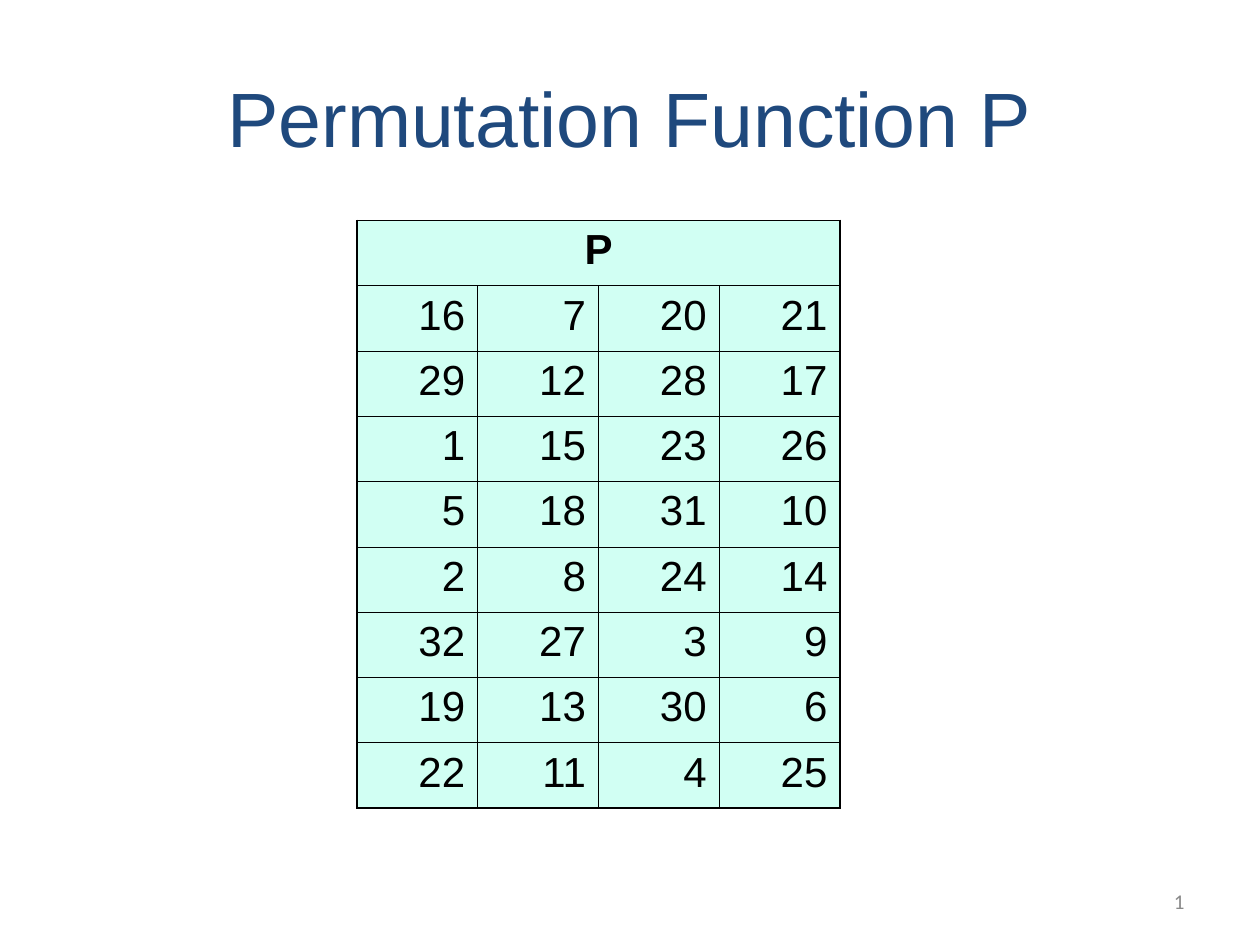
from dataclasses import dataclass

from lxml import etree
from pptx import Presentation
from pptx.dml.color import RGBColor
from pptx.enum.text import MSO_ANCHOR, PP_ALIGN
from pptx.oxml.ns import qn
from pptx.util import Pt

CENTER, RIGHT = PP_ALIGN.CENTER, PP_ALIGN.RIGHT
MIDDLE = MSO_ANCHOR.MIDDLE
NAVY = RGBColor(0x1F, 0x49, 0x7D)
GRAY = RGBColor(0x89, 0x89, 0x89)
BLACK = RGBColor(0, 0, 0)
MINT = RGBColor(0xD1, 0xFF, 0xF3)

TITLE_ONLY = 5
OUTER, INNER = Pt(1.08), Pt(0.45)
COL_W, ROW_H = 69, 37.33
PERMUTATION = [
    (16, 7, 20, 21),
    (29, 12, 28, 17),
    (1, 15, 23, 26),
    (5, 18, 31, 10),
    (2, 8, 24, 14),
    (32, 27, 3, 9),
    (19, 13, 30, 6),
    (22, 11, 4, 25),
]


@dataclass(frozen=True)
class TextStyle:
    size: float
    color: RGBColor
    align: PP_ALIGN
    name: str = "Arial"
    bold: bool = False


TITLE = TextStyle(44, NAVY, CENTER)
HEADER = TextStyle(24, BLACK, CENTER, bold=True)
NUMBER = TextStyle(24, BLACK, RIGHT)
PAGE = TextStyle(12, GRAY, RIGHT, "Calibri")


def write(tf, text: str, style: TextStyle) -> None:
    p = tf.paragraphs[0]
    p.alignment = style.align
    r = p.add_run()
    r.text = text
    for key, value in {"name": style.name, "size": Pt(style.size), "bold": style.bold}.items():
        setattr(r.font, key, value)
    r.font.color.rgb = style.color


def place(sp, left: float, top: float, width: float, height: float) -> None:
    box = {"left": left, "top": top, "width": width, "height": height}
    for key, value in box.items():
        setattr(sp, key, Pt(value))


def set_borders(cell, widths: dict[str, int]) -> None:
    """Border elements must come before the fill, in the order L, R, T, B."""
    tc_pr = cell._tc.get_or_add_tcPr()
    for i, (side, width) in enumerate(widths.items()):
        ln = etree.Element(qn(f"a:ln{side}"), w=str(width))
        fill = etree.SubElement(ln, qn("a:solidFill"))
        etree.SubElement(fill, qn("a:srgbClr"), val=str(BLACK))
        tc_pr.insert(i, ln)


def fill_cell(cell, text: str, style: TextStyle, widths: dict[str, int]) -> None:
    cell.fill.solid()
    cell.fill.fore_color.rgb = MINT
    set_borders(cell, widths)
    write(cell.text_frame, text, style)


def add_permutation_table(s, left: float, top: float) -> None:
    n_rows, n_cols = len(PERMUTATION) + 1, len(PERMUTATION[0])
    table = s.shapes.add_table(n_rows, n_cols, Pt(left), Pt(top),
                               Pt(COL_W * n_cols), Pt(ROW_H * n_rows)).table
    table.first_row = table.horz_banding = False
    for col in table.columns:
        col.width = Pt(COL_W)
    for row in table.rows:
        row.height = Pt(ROW_H)

    header = table.cell(0, 0)
    header.merge(table.cell(0, n_cols - 1))
    fill_cell(header, "P", HEADER, {"L": OUTER, "R": OUTER, "T": OUTER, "B": INNER})
    for i, values in enumerate(PERMUTATION, start=1):
        for j, value in enumerate(values):
            widths = {
                "L": OUTER if j == 0 else INNER,
                "R": OUTER if j == n_cols - 1 else INNER,
                "T": INNER,
                "B": OUTER if i == n_rows - 1 else INNER,
            }
            fill_cell(table.cell(i, j), str(value), NUMBER, widths)


def main() -> None:
    prs = Presentation()
    prs.slide_width, prs.slide_height = Pt(720), Pt(540)
    s = prs.slides.add_slide(prs.slide_layouts[TITLE_ONLY])

    title = s.shapes.title
    place(title, 36, 21.6, 648, 90)
    title.text_frame.vertical_anchor = MIDDLE
    write(title.text_frame, "Permutation Function P", TITLE)

    page = s.shapes.add_textbox(Pt(516), Pt(500.5), Pt(168), Pt(28.75))
    page.text_frame.word_wrap = True
    page.text_frame.vertical_anchor = MIDDLE
    write(page.text_frame, "1", PAGE)

    add_permutation_table(s, 204, 126)
    prs.save("out.pptx")


if __name__ == "__main__":
    main()
